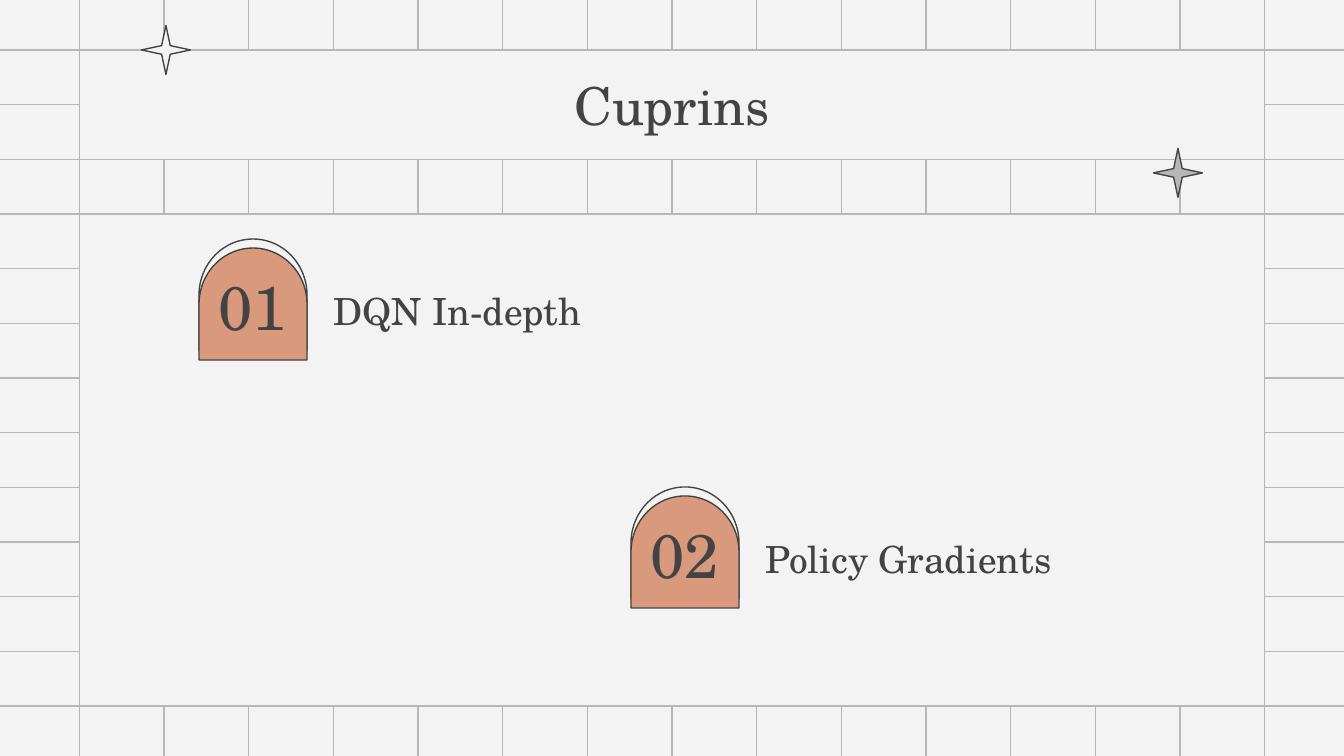
from itertools import pairwise

from lxml import etree
from pptx import Presentation
from pptx.dml.color import RGBColor
from pptx.enum.shapes import MSO_CONNECTOR, MSO_SHAPE
from pptx.enum.text import MSO_ANCHOR, PP_ALIGN
from pptx.oxml.ns import qn
from pptx.util import Emu, Pt

STRAIGHT = MSO_CONNECTOR.STRAIGHT
RECTANGLE, STAR, ARCH = MSO_SHAPE.RECTANGLE, MSO_SHAPE.STAR_4_POINT, MSO_SHAPE.FLOWCHART_DELAY
MIDDLE = MSO_ANCHOR.MIDDLE
LEFT, CENTER = PP_ALIGN.LEFT, PP_ALIGN.CENTER

PAPER = RGBColor(0xF3, 0xF3, 0xF3)
GRID = RGBColor(0xB7, 0xB7, 0xB7)
INK = RGBColor(0x43, 0x43, 0x43)
CLAY = RGBColor(0xD9, 0x99, 0x7D)
FONT = "TeX Gyre Schola"

# Content; centres are in px, panels in grid rows (first, last)
TITLE = "Cuprins"
CHAPTERS = [
    ("01", "DQN In-depth", (253, 304)),
    ("02", "Policy Gradients", (685, 552)),
]
STARS = [((1178, 173), GRID), ((166, 50), PAPER)]
TITLE_ROWS = (0, 2)
BODY_ROWS = (3, 12)

PAGE_WIDTH, PAGE_HEIGHT = 1344, 756
COLUMNS_EACH_SIDE, COLUMN_STEP = 7, 84.67
ROWS_EACH_SIDE, ROW_STEP = 6, 54.67
COLUMN_LINES = [PAGE_WIDTH / 2 + step * COLUMN_STEP
                for step in range(-COLUMNS_EACH_SIDE, COLUMNS_EACH_SIDE + 1)]
ROW_LINES = [PAGE_HEIGHT / 2 + step * ROW_STEP
             for step in range(-ROWS_EACH_SIDE, ROWS_EACH_SIDE + 1)]
ARCH_LENGTH, ARCH_BREADTH, ARCH_LIFT = 112, 108, 9
STAR_SIZE = 49


def px(length):
    return Emu(round(length * 914400 / 134.4))


def centered(middle, width, height):
    x, y = middle
    return x - width / 2, y - height / 2, width, height


def panel(rows):
    """Return the frame between two grid rows, from first to last grid column."""
    left, right = COLUMN_LINES[0], COLUMN_LINES[-1]
    top, bottom = (ROW_LINES[row] for row in rows)
    return left, top, right - left, bottom - top


def add_grid_line(page, *ends):
    line = page.shapes.add_connector(STRAIGHT, *map(px, ends))
    line.line.color.rgb = GRID
    line.line.width = Pt(0.75)
    etree.SubElement(line._element.spPr, qn("a:effectLst"))


def add_grid(page):
    """Draw each grid line as two halves that meet at the page centre."""
    for top, bottom in pairwise((0, PAGE_HEIGHT / 2, PAGE_HEIGHT)):
        for x in COLUMN_LINES:
            add_grid_line(page, x, top, x, bottom)
    for left, right in pairwise((0, PAGE_WIDTH / 2, PAGE_WIDTH)):
        for y in ROW_LINES:
            add_grid_line(page, left, y, right, y)


def add_figure(page, kind, frame, fill, outline=INK):
    shape = page.shapes.add_shape(kind, *map(px, frame))
    shape.shadow.inherit = False
    shape.fill.solid()
    shape.fill.fore_color.rgb = fill
    shape.line.color.rgb = outline
    shape.line.width = Pt(0.75)
    return shape


def write(shape, text, size, align=CENTER, space_after=0):
    frame = shape.text_frame
    frame.word_wrap = True
    frame.vertical_anchor = MIDDLE
    frame.margin_left = frame.margin_right = Pt(7.2)
    frame.margin_top = frame.margin_bottom = Pt(7.2)
    para = frame.paragraphs[0]
    para.alignment = align
    para.space_after = Pt(space_after)
    span = para.add_run()
    span.text = text
    span.font.name = FONT
    span.font.size = Pt(size)
    span.font.color.rgb = INK


def add_text(page, frame, text, size, **style):
    box = page.shapes.add_textbox(*map(px, frame))
    write(box, text, size, **style)


def add_chapter(page, number, name, middle):
    """Draw two stacked arches with the number, and the name to their right."""
    x, y = middle
    for lift, fill in ((ARCH_LIFT, PAPER), (0, CLAY)):
        frame = centered((x, y - lift), ARCH_LENGTH, ARCH_BREADTH)
        add_figure(page, ARCH, frame, fill).rotation = 270
    add_text(page, (x + 67, y - 20, 431, 54), name, 20, align=LEFT, space_after=12)
    add_text(page, (x - 63, y - 35, 125, 73), number, 33)


def main():
    deck = Presentation()
    deck.slide_width, deck.slide_height = px(PAGE_WIDTH), px(PAGE_HEIGHT)
    page = deck.slides.add_slide(deck.slide_layouts[6])
    page.background.fill.solid()
    page.background.fill.fore_color.rgb = PAPER

    add_grid(page)
    add_figure(page, RECTANGLE, panel(BODY_ROWS), PAPER, outline=GRID)
    title = add_figure(page, RECTANGLE, panel(TITLE_ROWS), PAPER, outline=GRID)
    write(title, TITLE, 28)
    for middle, fill in STARS:
        star = add_figure(page, STAR, centered(middle, STAR_SIZE, STAR_SIZE), fill)
        star.adjustments[0] = 0.125
    for number, name, middle in CHAPTERS:
        add_chapter(page, number, name, middle)
    deck.save("out.pptx")


if __name__ == "__main__":
    main()
